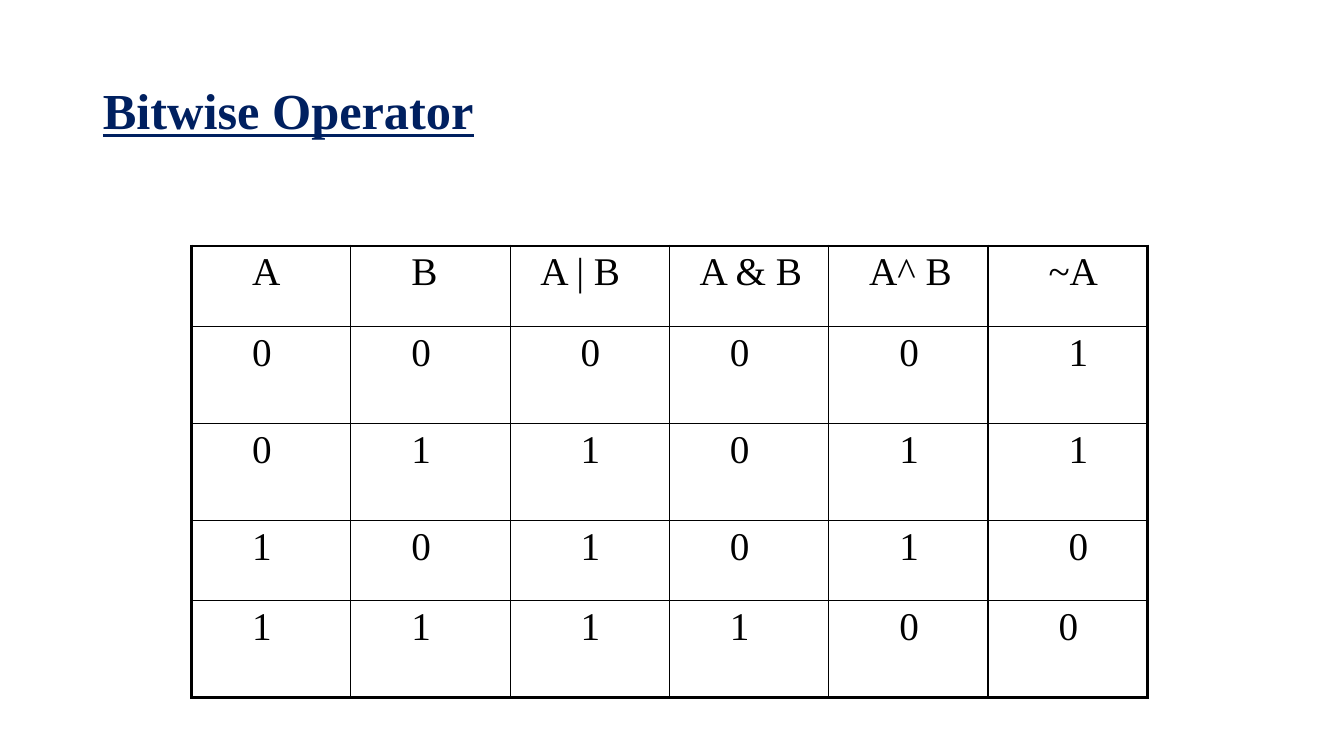
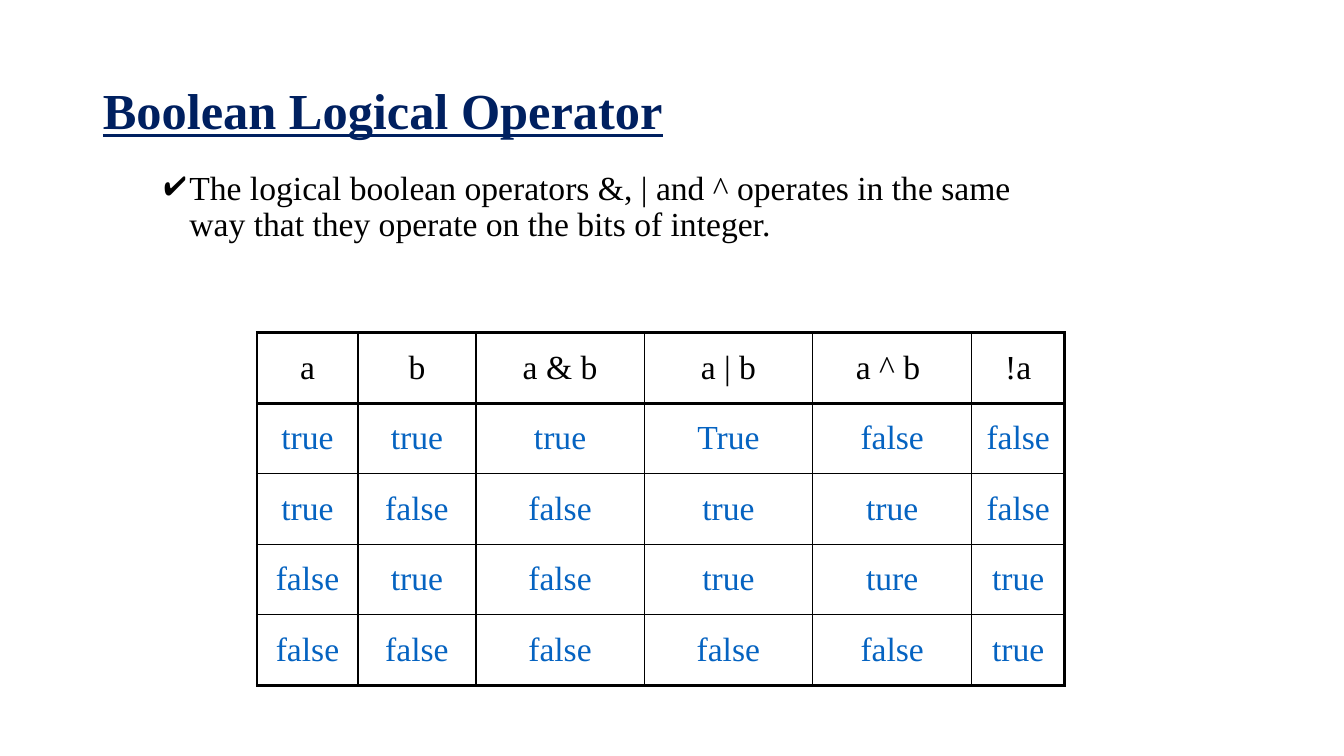
from lxml import etree
from pptx import Presentation
from pptx.dml.color import RGBColor
from pptx.enum import text as t
from pptx.oxml import ns
from pptx.util import Inches, Pt

FONT = "Times New Roman"
NAVY = RGBColor(0x00, 0x20, 0x60)
BLUE = RGBColor(0x05, 0x63, 0xC1)
BLACK = RGBColor(0, 0, 0)
THIN, THICK = 1, 2.25
SPACE = 0.1

BITS = [
    ["A", "B", "A | B", "A & B", "A^ B", "~A"],
    ["0", "0", "0", "0", "0", "1"],
    ["0", "1", "1", "0", "1", "1"],
    ["1", "0", "1", "0", "1", "0"],
    ["1", "1", "1", "1", "0", "0"],
]
HEADER_INDENTS = [5, 5, 2, 2, 3, 5]
BODY_INDENTS = [5, 5, 6, 5, 6, 7]
LAST_INDENTS = [5, 5, 6, 5, 6, 6]
BIT_INDENTS = [HEADER_INDENTS] + [BODY_INDENTS] * 3 + [LAST_INDENTS]

LOGIC = [
    ["a", "b", "a & b", "a | b", "a ^ b ", "!a"],
    ["true", "true", "true", "True", "false", "false"],
    ["true", "false", "false", "true", "true", "false"],
    ["false", "true", "false", "true", "ture", "true"],
    ["false", "false", "false", "false", "false", "true"],
]


def sub(parent, tag, **attrs):
    return etree.SubElement(parent, ns.qn(tag), attrs)


def write(tf, content, size=24, color=BLACK, bold=None, underline=None,
          align=t.PP_ALIGN.LEFT, spacing=None):
    p = tf.paragraphs[0]
    p.alignment = align
    p.line_spacing = spacing
    r = p.add_run()
    r.text = content
    f = r.font
    f.name, f.size, f.bold, f.underline = FONT, Pt(size), bold, underline
    f.color.rgb = color
    return p


def set_insets(tf):
    tf.margin_left = tf.margin_right = Inches(0.1)
    tf.margin_top = tf.margin_bottom = Inches(0.05)
    tf.word_wrap = True


def add_slide(prs, title):
    s = prs.slides.add_slide(prs.slide_layouts[5])
    sp = s.shapes.title
    sp.left, sp.top = Inches(0.92), Inches(0.4)
    sp.width, sp.height = Inches(11.5), Inches(1.45)
    tf = sp.text_frame
    set_insets(tf)
    tf.auto_size = t.MSO_AUTO_SIZE.NONE
    tf.vertical_anchor = t.MSO_ANCHOR.MIDDLE
    write(tf, title, size=36, color=NAVY, bold=True, underline=True, spacing=0.9)
    return s


def add_bullet(s, content, left, top, width, height):
    sp = s.shapes.add_textbox(Inches(left), Inches(top), Inches(width), Inches(height))
    set_insets(sp.text_frame)
    p = write(sp.text_frame, content, spacing=0.9)
    pPr = p._p.get_or_add_pPr()
    pPr.set("marL", str(Inches(0.25)))
    pPr.set("indent", str(Inches(-0.25)))
    sub(sub(pPr, "a:buClr"), "a:srgbClr", val=str(BLACK))
    sub(pPr, "a:buChar", char="✔")


def set_borders(cell, **widths):
    """Draw the sides L, R, T and B in black, with widths in points."""
    tcPr = cell._tc.get_or_add_tcPr()
    for side, width in widths.items():
        ln = sub(tcPr, f"a:ln{side}", w=str(Pt(width)))
        sub(sub(ln, "a:solidFill"), "a:srgbClr", val=str(BLACK))


def add_grid(s, rows, left, top, widths, heights, thick_cols, thick_rows, fill_cell):
    """Add a ruled table; thick_cols and thick_rows number its heavy grid lines."""
    tbl = s.shapes.add_table(len(rows), len(widths), Inches(left), Inches(top),
                             Inches(sum(widths)), Inches(sum(heights))).table
    tbl.first_row = tbl.horz_banding = False
    for col, width in zip(tbl.columns, widths):
        col.width = Inches(width)
    for row, height in zip(tbl.rows, heights):
        row.height = Inches(height)

    def weight(line, thick):
        return THICK if line in thick else THIN

    for i, row in enumerate(rows):
        for j, content in enumerate(row):
            cell = tbl.cell(i, j)
            set_borders(cell, L=weight(j, thick_cols), R=weight(j + 1, thick_cols),
                        T=weight(i, thick_rows), B=weight(i + 1, thick_rows))
            cell.fill.background()
            fill_cell(cell, content, i, j)


def fill_bit(cell, content, i, j):
    cell.margin_left = Inches(0.1 + SPACE * BIT_INDENTS[i][j])
    cell.margin_right = 0
    write(cell.text_frame, content, size=28)


def fill_logic(cell, content, i, j):
    cell.vertical_anchor = t.MSO_ANCHOR.MIDDLE
    write(cell.text_frame, content, color=BLUE if i else BLACK, align=t.PP_ALIGN.CENTER)


def main():
    prs = Presentation()
    prs.slide_width, prs.slide_height = Inches(13.33), Inches(7.5)

    s = add_slide(prs, "Bitwise Operator")
    add_grid(s, BITS, 1.9, 2.44, [1.58] * 6, [0.8, 0.96, 0.96, 0.8, 0.96],
             {0, 6}, {0, 5}, fill_bit)

    s = add_slide(prs, "Boolean Logical Operator")
    add_grid(s, LOGIC, 2.55, 3.3, [1, 1.17, 1.67, 1.67, 1.58, 0.92], [0.7] * 5,
             {0, 2, 6}, {0, 1, 5}, fill_logic)
    add_bullet(s, "The logical boolean operators &, | and ^ operates in the same "
                  "way that they operate on the bits of integer.", 1.53, 1.65, 8.91, 1.33)

    prs.save("out.pptx")


if __name__ == "__main__":
    main()
